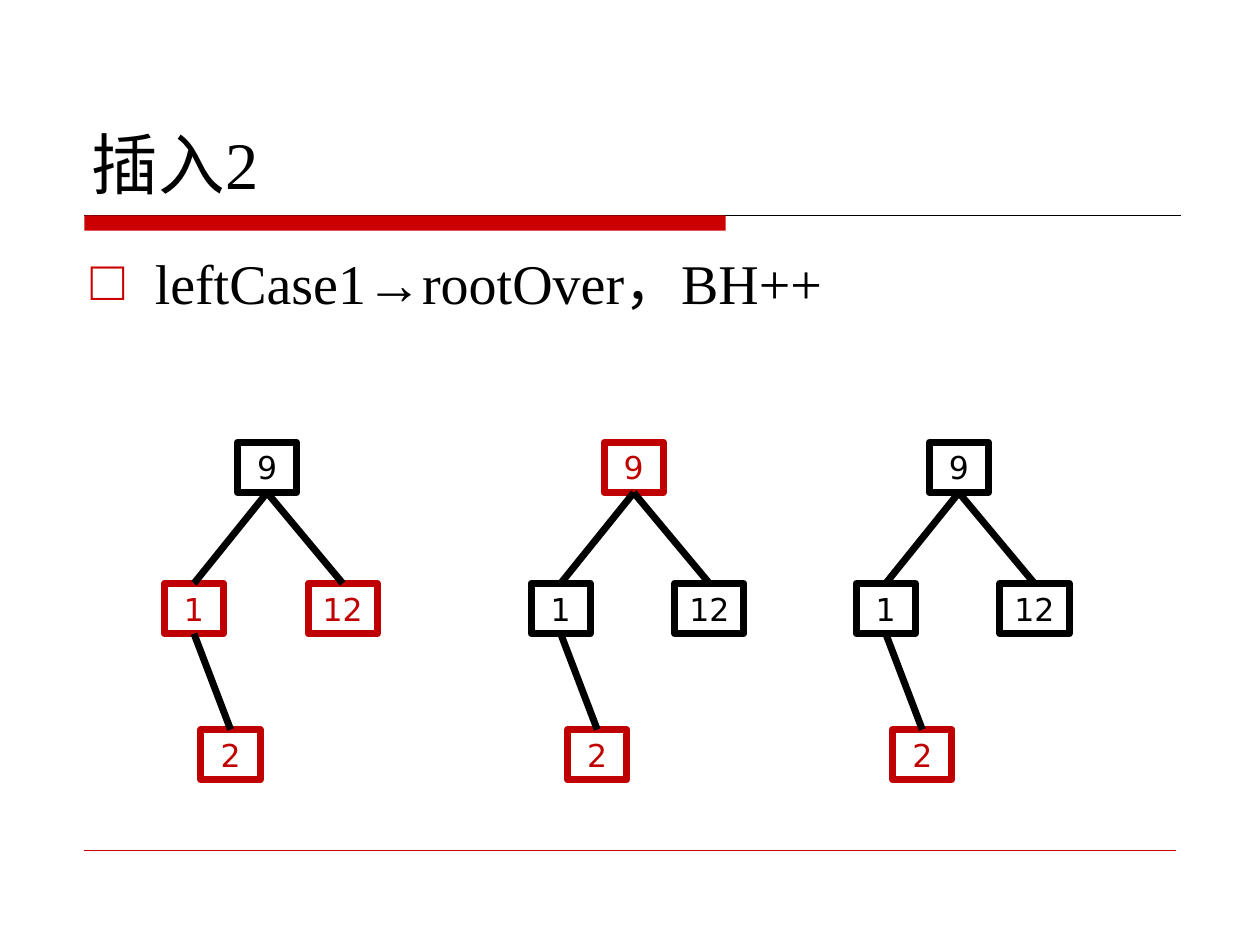
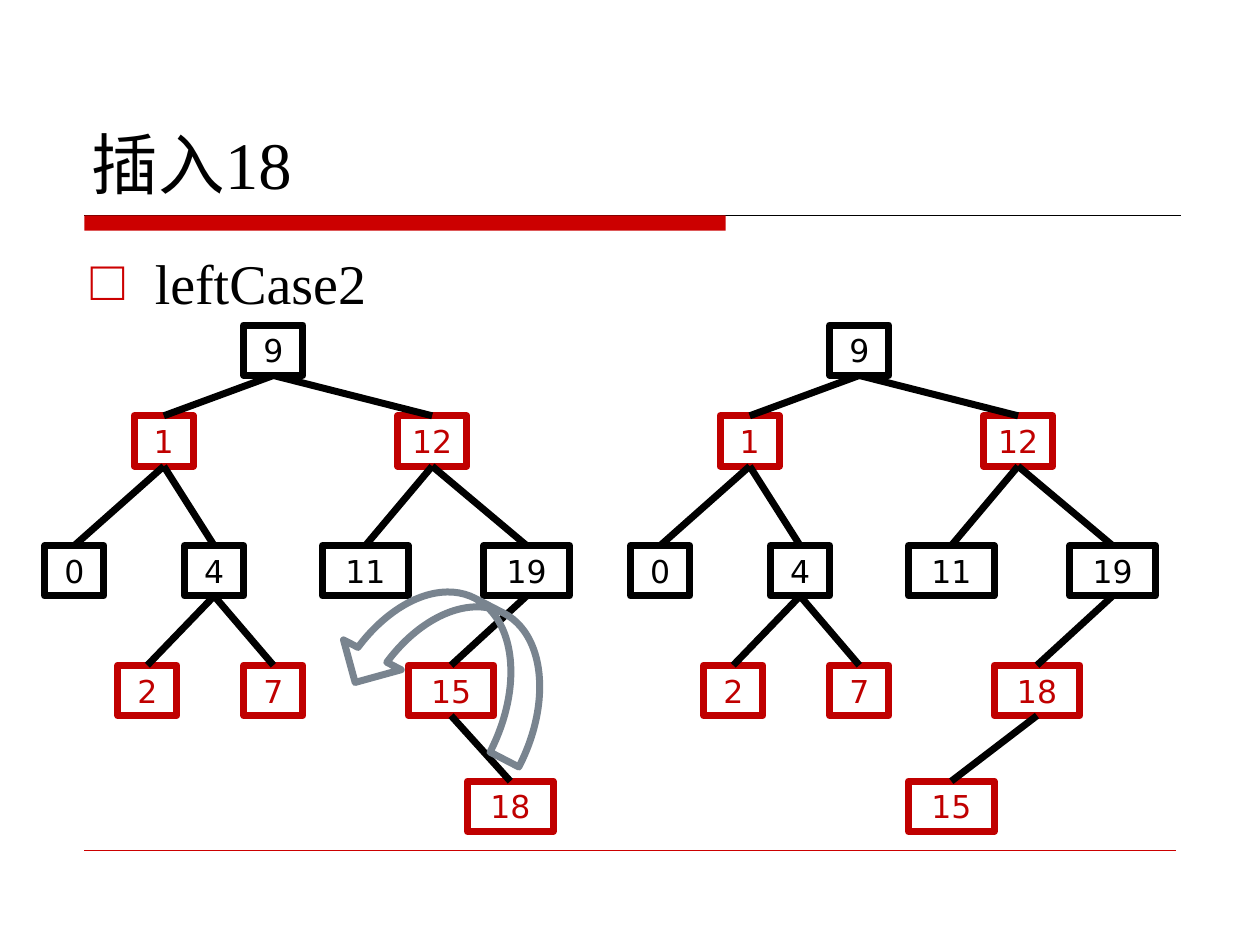
from lxml import etree
from pptx import Presentation
from pptx.dml.color import RGBColor
from pptx.enum import shapes, text
from pptx.oxml.ns import qn
from pptx.util import Inches, Pt

BLACK, BAND_RED, NODE_RED, ARROW_GREY = "000000", "CC0000", "C00000", "79848F"
SERIF, SANS = "Times New Roman", "DejaVu Sans"
STROKE = 4
NODE_HEIGHT = 0.4
NODE_WIDTHS = {"12": 0.55, "11": 0.68, "15": 0.68, "18": 0.68, "19": 0.68}
DIGIT_WIDTH = 0.47
TOP, BOTTOM = 0, 2

# Node label: (centre x, top), in inches
SMALL_TREE = {"9": (2.12, 3.51), "1": (1.54, 4.63), "12": (2.72, 4.63), "2": (1.83, 5.79)}
SMALL_EDGES = [("9", "1"), ("9", "12"), ("1", "2")]
BIG_TREE = {
    "9": (2.17, 2.58), "1": (1.3, 3.3), "12": (3.43, 3.3),
    "0": (0.59, 4.33), "4": (1.7, 4.33), "11": (2.9, 4.33), "19": (4.18, 4.33),
    "2": (1.17, 5.28), "7": (2.17, 5.28),
}
BIG_EDGES = [("9", "1"), ("9", "12"), ("1", "0"), ("1", "4"), ("12", "11"),
             ("12", "19"), ("4", "2"), ("4", "7")]
BIG_REDS = {"1", "12", "2", "7", "15", "18"}


def rgb(value):
    return RGBColor.from_string(value)


def set_font(p, name, size, color):
    p.font.name, p.font.size = name, Pt(size)
    p.font.color.rgb = rgb(color)


class Deck:
    def __init__(self):
        self.prs = Presentation()
        self.prs.slide_width, self.prs.slide_height = Inches(10), Inches(7.5)
        self.slide = None

    def add_slide(self, title, point):
        self.slide = self.prs.slides.add_slide(self.prs.slide_layouts[5])
        self.band()
        self.title(title)
        self.bullet(point)

    def band(self):
        """Thick red bar and thin rule under the title, and the footer rule."""
        items = self.slide.shapes
        self.line(items, (0.67, 1.71), (9.37, 1.71), BLACK, 0.75)
        sp = items.add_shape(shapes.MSO_SHAPE.RECTANGLE, Inches(0.67), Inches(1.71),
                             Inches(5.09), Inches(0.12))
        sp.shadow.inherit = False
        sp.fill.solid()
        sp.fill.fore_color.rgb = rgb(BAND_RED)
        sp.line.fill.background()
        self.line(items, (0.67, 6.75), (9.33, 6.75), BAND_RED, 0.25)

    def title(self, words):
        sp = self.slide.shapes.title
        sp.left, sp.top, sp.width, sp.height = map(Inches, (0.63, 0.33, 8.75, 1.33))
        tf = sp.text_frame
        tf.text = words
        tf.auto_size = text.MSO_AUTO_SIZE.NONE
        tf.vertical_anchor = text.MSO_ANCHOR.BOTTOM
        p = tf.paragraphs[0]
        p.alignment = text.PP_ALIGN.LEFT
        set_font(p, SERIF, 38, BLACK)

    def bullet(self, words):
        sp = self.slide.shapes.add_textbox(*map(Inches, (0.62, 1.92, 8.75, 0.7)))
        tf = sp.text_frame
        tf.word_wrap = True
        p = tf.paragraphs[0]
        p.text = words
        p.space_before = Pt(6.4)
        set_font(p, SERIF, 32, BLACK)
        pPr = p._p.get_or_add_pPr()
        pPr.set("marL", str(Inches(0.51)))
        pPr.set("indent", str(-Inches(0.51)))
        color = etree.Element(qn("a:buClr"))
        etree.SubElement(color, qn("a:srgbClr"), val=BAND_RED)
        font = etree.Element(qn("a:buFont"), typeface=SERIF)
        char = etree.Element(qn("a:buChar"), char="□")
        pPr.find(qn("a:spcBef")).addnext(color)
        color.addnext(font)
        font.addnext(char)

    def line(self, items, start, end, color, width):
        cn = items.add_connector(shapes.MSO_CONNECTOR.STRAIGHT,
                                 *map(Inches, (*start, *end)))
        cn.line.color.rgb = rgb(color)
        cn.line.width = Pt(width)
        etree.SubElement(cn._element.spPr, qn("a:effectLst"))
        return cn

    def outline(self, items, kind, box, color):
        """Unfilled shape with a thick line."""
        sp = items.add_shape(kind, *map(Inches, box))
        sp.shadow.inherit = False
        sp.fill.background()
        sp.line.color.rgb = rgb(color)
        sp.line.width = Pt(STROKE)
        return sp

    def node(self, items, label, center, top, color):
        width = NODE_WIDTHS.get(label, DIGIT_WIDTH)
        sp = self.outline(items, shapes.MSO_SHAPE.RECTANGLE,
                          (center - width / 2, top, width, NODE_HEIGHT), color)
        tf = sp.text_frame
        tf.text = label
        tf.word_wrap = False
        p = tf.paragraphs[0]
        p.alignment = text.PP_ALIGN.CENTER
        set_font(p, SANS, 18, color)
        return sp

    def tree(self, places, edges, reds, dx=0):
        """Draw a grouped tree, moved right by dx inches."""
        items = self.slide.shapes.add_group_shape().shapes
        places = {label: (x + dx, y) for label, (x, y) in places.items()}
        nodes = {label: self.node(items, label, x, y, NODE_RED if label in reds else BLACK)
                 for label, (x, y) in places.items()}
        for parent, child in edges:
            x, y = places[parent]
            cn = self.line(items, (x, y + NODE_HEIGHT), places[child], BLACK, STROKE)
            cn.begin_connect(nodes[parent], BOTTOM)
            cn.end_connect(nodes[child], TOP)

    def rotation_arrow(self):
        sp = self.outline(self.slide.shapes, shapes.MSO_SHAPE.CURVED_UP_ARROW,
                          (2.73, 4.72, 1.72, 1.03), ARROW_GREY)
        sp.rotation = 207.3


def main():
    deck = Deck()

    deck.add_slide("插入2", "leftCase1→rootOver，BH++")
    for dx, reds in [(0, {"1", "12", "2"}), (2.91, {"9", "2"}), (5.49, {"2"})]:
        deck.tree(SMALL_TREE, SMALL_EDGES, reds, dx)

    deck.add_slide("插入18", "leftCase2")
    before = {"15": (3.58, 5.28), "18": (4.05, 6.2)}
    after = {"18": (3.58, 5.28), "15": (2.9, 6.2)}
    for leaves, dx in [(after, 4.65), (before, 0)]:
        upper, lower = leaves
        deck.tree(BIG_TREE | leaves, BIG_EDGES + [("19", upper), (upper, lower)],
                  BIG_REDS, dx)
    deck.rotation_arrow()

    deck.prs.save("out.pptx")


if __name__ == "__main__":
    main()
